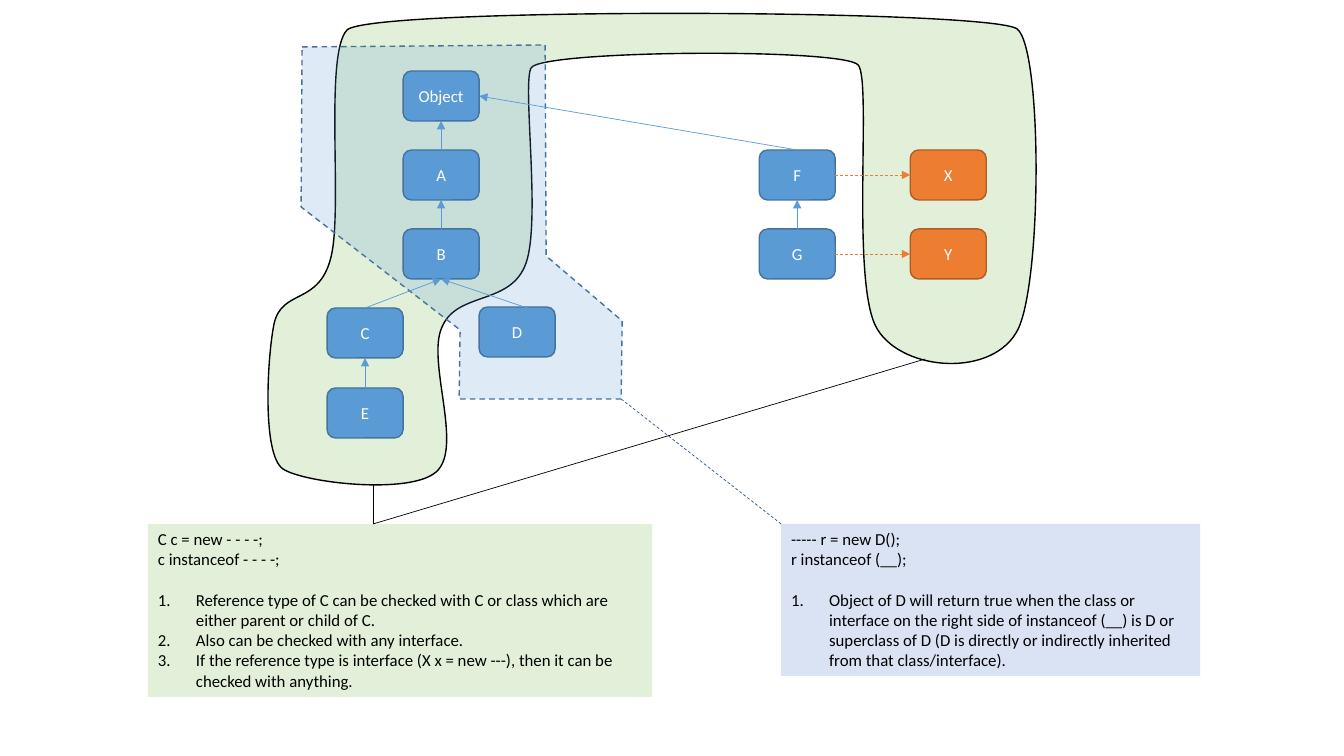
from lxml.etree import SubElement
from pptx import Presentation
from pptx.dml.color import RGBColor
from pptx.enum.dml import MSO_LINE
from pptx.enum.shapes import MSO_CONNECTOR, MSO_SHAPE
from pptx.enum.text import MSO_ANCHOR, MSO_AUTO_SIZE, PP_ALIGN
from pptx.oxml.ns import qn
from pptx.util import Emu, Inches, Pt

SCALE = 914400 / 100.8
BLUE, BLUE_EDGE = "5B9BD5", "43739E"
ORANGE, ORANGE_EDGE = "ED7D31", "AF5C24"
GREEN, PALE_BLUE, NAVY = "E2F0D9", "DAE3F3", "2F5597"
BLACK, WHITE = "000000", "FFFFFF"

BOX_W, BOX_H = 76, 50
COLUMNS = {"left": 327, "trunk": 403, "right": 479, "classes": 759, "interfaces": 910}
CLASSES = [
    ("Object", "trunk", 71), ("A", "trunk", 150), ("B", "trunk", 229),
    ("C", "left", 308), ("D", "right", 307), ("E", "left", 388),
    ("F", "classes", 150), ("G", "classes", 229),
]
INTERFACES = [("X", "interfaces", 150), ("Y", "interfaces", 229)]

SITE_TOP, SITE_LEFT, SITE_BOTTOM, SITE_RIGHT = range(4)
EXTENDS = [("A", "Object"), ("B", "A"), ("C", "B"), ("E", "C"), ("G", "F")]
IMPLEMENTS = [("F", "X"), ("G", "Y")]

REFERENCE_AREA = (268, 13, 768, 472)
REFERENCE_START = (347, 30)
REFERENCE_CURVES = [
    ((324, 54), (343, 209), (331, 257)),
    ((319, 306), (282, 288), (274, 324)),
    ((267, 359), (262, 455), (283, 469)),
    ((304, 483), (410, 495), (436, 472)),
    ((464, 448), (426, 361), (442, 327)),
    ((457, 291), (511, 306), (526, 263)),
    ((541, 220), (522, 84), (531, 68)),
    ((540, 50), (844, 48), (858, 65)),
    ((872, 80), (850, 284), (877, 329)),
    ((903, 372), (994, 378), (1018, 329)),
    ((1042, 278), (1042, 49), (1017, 29)),
    ((991, 9), (370, 7), (347, 30)),
]
OBJECT_OUTLINE = [(302, 47), (545, 45), (546, 256), (622, 321),
                  (621, 399), (459, 399), (460, 330), (301, 207)]

NOTES = [
    ((148, 524, 504, 173), GREEN,
     ["C c = new - - - -;", "c instanceof - - - -;"],
     ["Reference type of C can be checked with C or class which are either parent or child of C.",
      "Also can be checked with any interface.",
      "If the reference type is interface (X x = new ---), then it can be checked with anything."]),
    ((781, 524, 419, 152), PALE_BLUE,
     ["----- r = new D();", "r instanceof (__);"],
     ["Object of D will return true when the class or interface on the right side of "
      "instanceof (__) is D or superclass of D (D is directly or indirectly inherited "
      "from that class/interface)."]),
]
NOTE_LINES = [
    ((781, 524), (621, 399), NAVY, True),
    ((373, 485), (373, 524), BLACK, False),
    ((925, 359), (373, 524), BLACK, False),
]


def px(n):
    return Emu(round(n * SCALE))


def rgb(color):
    return RGBColor.from_string(color)


def paint(sp, fill, edge=None, dash=False):
    sp.shadow.inherit = False
    sp.fill.solid()
    sp.fill.fore_color.rgb = rgb(fill)
    if edge:
        sp.line.color.rgb = rgb(edge)
        sp.line.width = Pt(1)
        if dash:
            sp.line.dash_style = MSO_LINE.DASH
    else:
        sp.line.fill.background()


def write(p, text, color=BLACK, align=PP_ALIGN.LEFT, numbered=False, before=0):
    p.alignment = align
    p.space_before = Pt(before)
    r = p.add_run()
    r.text = text
    r.font.size = Pt(12)
    r.font.name = "Calibri"
    r.font.color.rgb = rgb(color)
    if numbered:
        pPr = p._p.get_or_add_pPr()
        pPr.set("marL", str(px(38)))
        pPr.set("indent", str(-px(38)))
        SubElement(pPr, qn("a:buFont"), typeface="+mj-lt")
        SubElement(pPr, qn("a:buAutoNum"), type="arabicPeriod")


def add_line(start, end, color, dash=False, arrow=False):
    cx = shapes.add_connector(MSO_CONNECTOR.STRAIGHT, *map(px, start + end))
    cx.line.color.rgb = rgb(color)
    cx.line.width = Pt(0.5)
    if dash:
        cx.line.dash_style = MSO_LINE.DASH
    if arrow:
        SubElement(cx.line._get_or_add_ln(), qn("a:tailEnd"), type="triangle")
    SubElement(cx._element.spPr, qn("a:effectLst"))
    return cx


def link(child, parent, color, sites, dash=False):
    cx = add_line((0, 0), (0, 0), color, dash, arrow=True)
    cx.begin_connect(boxes[child], sites[0])
    cx.end_connect(boxes[parent], sites[1])


def add_outline(points):
    builder = shapes.build_freeform(*points[0], scale=SCALE)
    builder.add_line_segments(points[1:], close=True)
    return builder.convert_to_shape()


def add_curved_outline(area, start, curves):
    x, y, w, h = area
    sp = add_outline([(x, y), (x + w, y), (x + w, y + h), (x, y + h)])
    outline = next(sp._element.iter(qn("a:path")))
    for child in list(outline):
        outline.remove(child)
    for tag, points in [("a:moveTo", [start])] + [("a:cubicBezTo", c) for c in curves]:
        segment = SubElement(outline, qn(tag))
        for px_x, px_y in points:
            SubElement(segment, qn("a:pt"), x=str(px_x - x), y=str(px_y - y))
    SubElement(outline, qn("a:close"))
    return sp


prs = Presentation()
prs.slide_width, prs.slide_height = Inches(13.33), Inches(7.5)
s = prs.slides.add_slide(prs.slide_layouts[6])
shapes = s.shapes

paint(add_curved_outline(REFERENCE_AREA, REFERENCE_START, REFERENCE_CURVES), GREEN, BLACK)
object_area = add_outline(OBJECT_OUTLINE)
paint(object_area, BLUE, BLUE_EDGE, dash=True)
fill_color = object_area._element.spPr.find(qn("a:solidFill"))[0]
SubElement(fill_color, qn("a:alpha"), val="20000")

boxes = {}
for group, fill, edge in ((CLASSES, BLUE, BLUE_EDGE), (INTERFACES, ORANGE, ORANGE_EDGE)):
    for name, column, top in group:
        sp = shapes.add_shape(MSO_SHAPE.ROUNDED_RECTANGLE, px(COLUMNS[column]),
                              px(top), px(BOX_W), px(BOX_H))
        paint(sp, fill, edge)
        sp.text_frame.vertical_anchor = MSO_ANCHOR.MIDDLE
        write(sp.text_frame.paragraphs[0], name, WHITE, PP_ALIGN.CENTER)
        boxes[name] = sp

for child, parent in EXTENDS:
    link(child, parent, BLUE, (SITE_TOP, SITE_BOTTOM))
add_line((554, 317), (441, 279), BLUE, arrow=True)
for child, parent in IMPLEMENTS:
    link(child, parent, ORANGE, (SITE_RIGHT, SITE_LEFT), dash=True)
link("F", "Object", BLUE, (SITE_TOP, SITE_RIGHT))

for area, fill, code, rules in NOTES:
    sp = shapes.add_textbox(*map(px, area))
    paint(sp, fill)
    tf = sp.text_frame
    tf.word_wrap = True
    tf.auto_size = MSO_AUTO_SIZE.SHAPE_TO_FIT_TEXT
    for i, text in enumerate(code + rules):
        p = tf.add_paragraph() if i else tf.paragraphs[0]
        write(p, text, numbered=i >= len(code), before=14.5 if i == len(code) else 0)

for start, end, color, dash in NOTE_LINES:
    add_line(start, end, color, dash)

prs.save("out.pptx")
